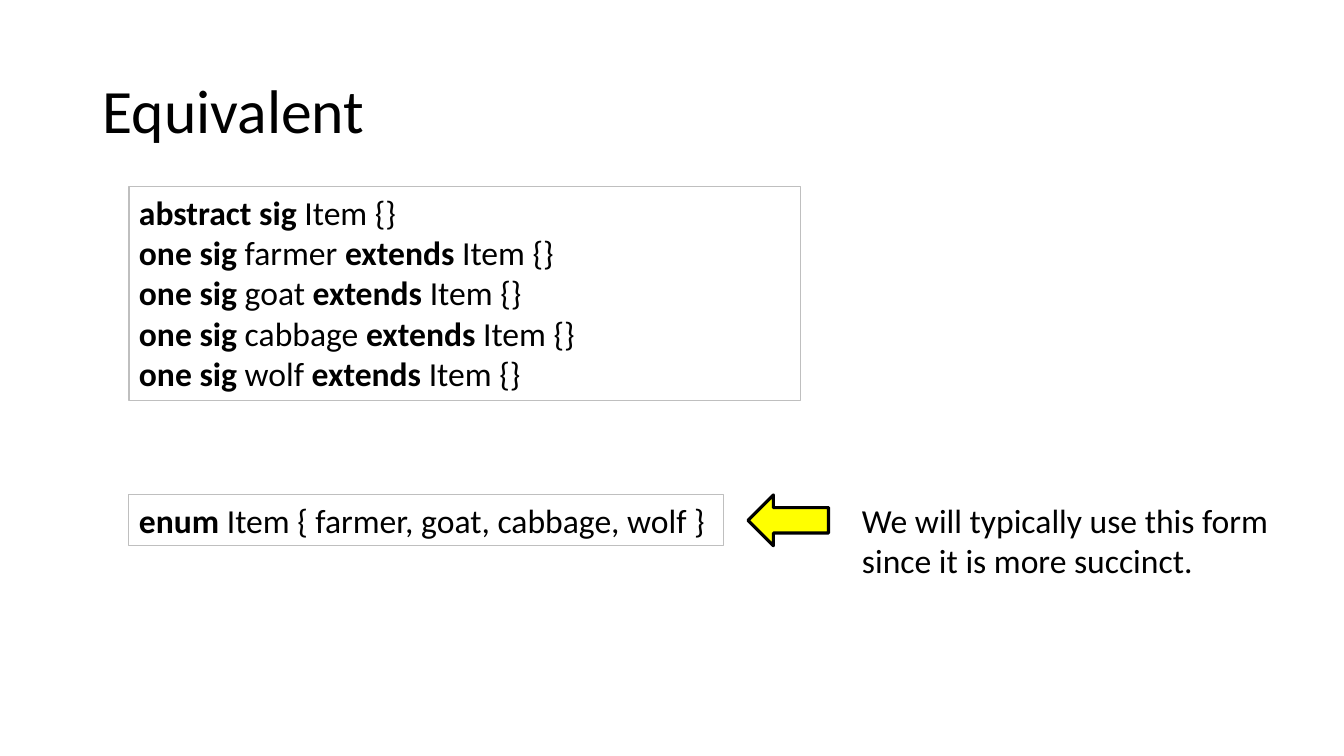
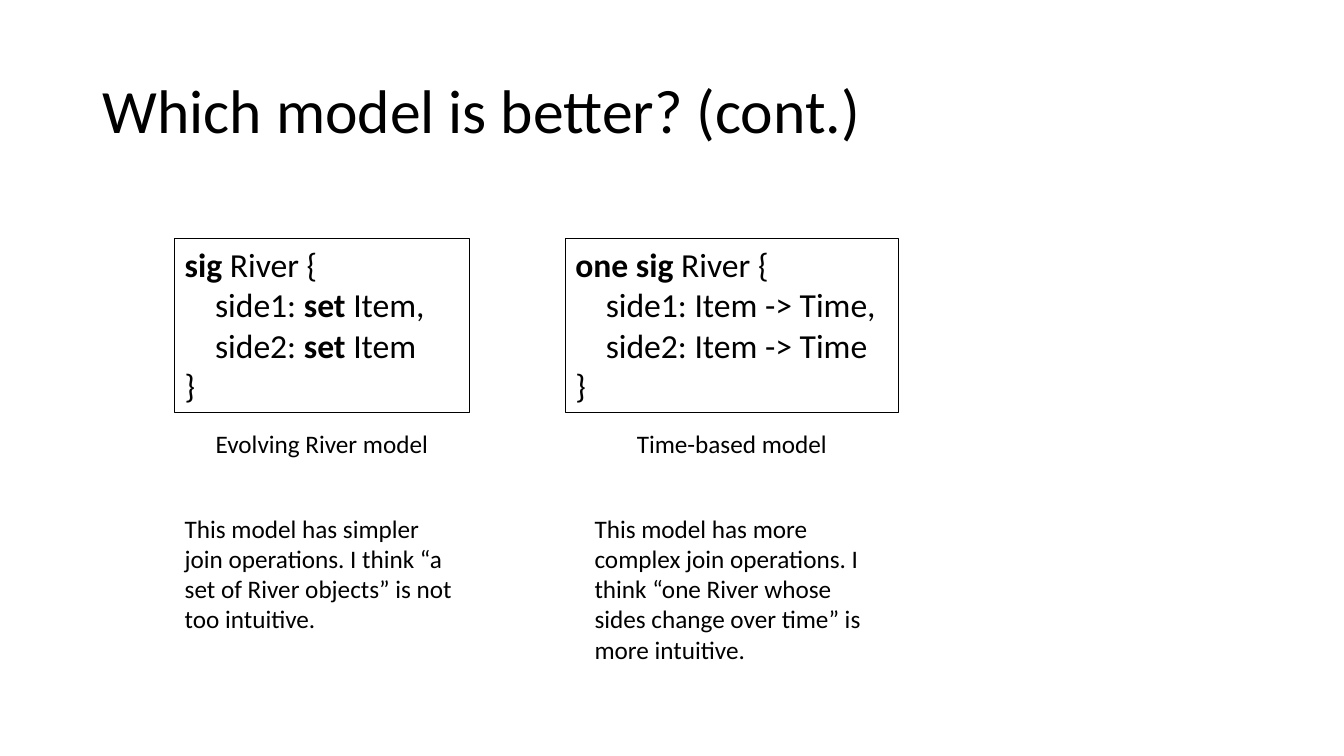
import pptx
import pptx.util
import pptx.dml.color
import pptx.enum.shapes
import pptx.enum.text

BLACK = pptx.dml.color.RGBColor(0x00, 0x00, 0x00)
GREY = pptx.dml.color.RGBColor(0xBF, 0xBF, 0xBF)
YELLOW = pptx.dml.color.RGBColor(0xFF, 0xFF, 0x00)
FONT = "Calibri"
ANCHOR = pptx.enum.text.MSO_ANCHOR
ALIGN = pptx.enum.text.PP_ALIGN
AUTO = pptx.enum.text.MSO_AUTO_SIZE

prs = pptx.Presentation()
prs.slide_width = pptx.util.Inches(13.33)
prs.slide_height = pptx.util.Inches(7.5)

# The grid has 100 columns and 100 rows.
COL = prs.slide_width / 100
ROW = prs.slide_height / 100


def place(left, top, width, height):
    return int(left * COL), int(top * ROW), int(width * COL), int(height * ROW)


def add_text(s, box, text, size, border=None, para={}, **frame):
    """Add a text box with one paragraph per line; *words* in asterisks are bold."""
    sp = s.shapes.add_textbox(*place(*box))
    if border is not None:
        sp.line.color.rgb = border
        sp.line.width = pptx.util.Pt(0.75)
    tf = sp.text_frame
    for name, value in {"word_wrap": True, "auto_size": AUTO.SHAPE_TO_FIT_TEXT, **frame}.items():
        setattr(tf, name, value)
    for i, line in enumerate(text.split("\n")):
        p = tf.add_paragraph() if i else tf.paragraphs[0]
        for name, value in para.items():
            setattr(p, name, value)
        for j, part in enumerate(line.split("*")):
            if part:
                r = p.add_run()
                r.text = part
                r.font.name = FONT
                r.font.size = pptx.util.Pt(size)
                r.font.bold = j % 2 == 1
                r.font.color.rgb = BLACK


slides = []
for title in ("Equivalent", "Which model is better? (cont.)"):
    s = prs.slides.add_slide(prs.slide_layouts[6])
    add_text(s, (6.9, 5.33, 86.25, 19.33), title, 44, para={"line_spacing": 0.9},
             vertical_anchor=ANCHOR.MIDDLE, auto_size=AUTO.NONE)
    slides.append(s)

# Slide 1: two equivalent declarations
s = slides[0]
CODE_LEFT, ENUM_TOP, ENUM_HEIGHT = 9.6, 65.47, 6.73
items = ("farmer", "goat", "cabbage", "wolf")
signatures = ["*abstract sig* Item {}"] + [f"*one sig* {item} *extends* Item {{}}" for item in items]
add_text(s, (CODE_LEFT, 24.67, 50, 28.27), "\n".join(signatures), 24, GREY)
add_text(s, (CODE_LEFT, ENUM_TOP, 44.25, ENUM_HEIGHT),
         f"*enum *Item {{ {', '.join(items)} }}", 24, GREY)

sp = s.shapes.add_shape(pptx.enum.shapes.MSO_SHAPE.LEFT_ARROW,
                        *place(55.65, ENUM_TOP, 6, ENUM_HEIGHT))
sp.shadow.inherit = False
sp.fill.solid()
sp.fill.fore_color.rgb = YELLOW
sp.line.color.rgb = BLACK
sp.line.width = pptx.util.Pt(2.25)

add_text(s, (63.4, ENUM_TOP, 32.7, 12.13),
         "We will typically use this form since it is more succinct.", 24)

# Slide 2: each model is a code box, a caption and a note on one centre line
NOTE_WIDTH = 21.9
models = [
    (23.95, 21.9, "*sig* River {\n    side1: *set* Item,\n    side2: *set* Item\n}",
     17.5, "Evolving River model", 17.47,
     "This model has simpler join operations. "
     "I think “a set of River objects” is not too intuitive."),
    (54.45, 24.75, "*one sig* River {\n    side1: Item -> Time,\n    side2: Item -> Time\n}",
     15.83, "Time-based model", 21.6,
     "This model has more complex join operations. "
     "I think “one River whose sides change over time” is more intuitive."),
]
s = slides[1]
for centre, code_width, code, caption_width, caption, note_height, note in models:
    add_text(s, (centre - code_width / 2, 31.6, code_width, 22.93), code, 24, BLACK)
    add_text(s, (centre - caption_width / 2, 56, caption_width, 5.33), caption, 18,
             para={"alignment": ALIGN.CENTER}, word_wrap=False)
    add_text(s, (centre - NOTE_WIDTH / 2, 67.2, NOTE_WIDTH, note_height), note, 18)

prs.save("out.pptx")
